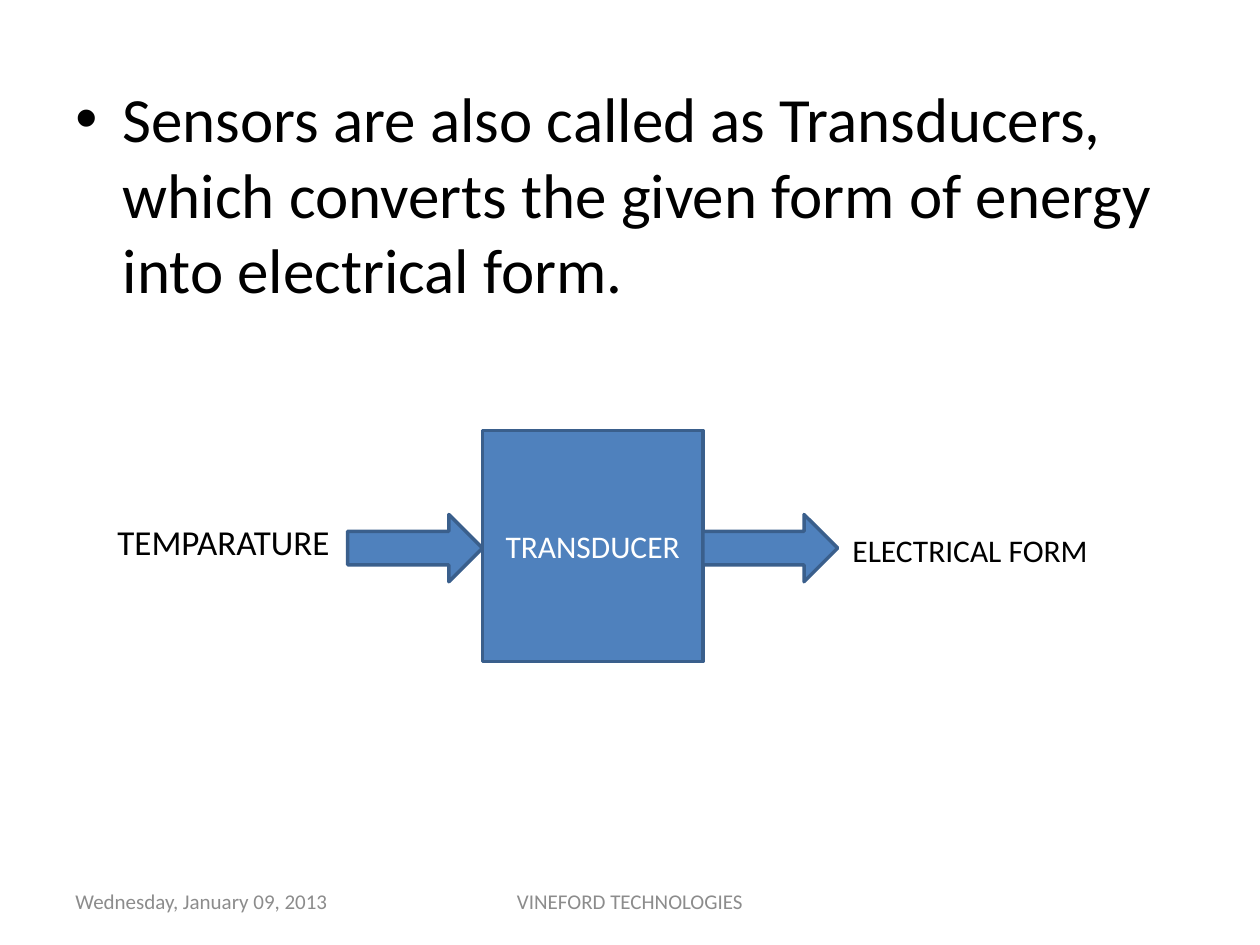
import pptx
import pptx.util
import pptx.dml.color
import pptx.enum.shapes
import pptx.enum.text
import pptx.oxml.ns
import lxml.etree

Pt = pptx.util.Pt
SHAPE = pptx.enum.shapes.MSO_SHAPE
ALIGN = pptx.enum.text.PP_ALIGN
ANCHOR = pptx.enum.text.MSO_ANCHOR

COLORS = {
    "fill": "4F81BD",
    "line": "3A5F8C",
    "text": "000000",
    "inverse": "FFFFFF",
    "footer": "8C8C8C",
}


def rgb(name):
    return pptx.dml.color.RGBColor.from_string(COLORS[name])


def write(sp, text, size, color, align=ALIGN.LEFT, **frame):
    tf = sp.text_frame
    for name, value in {"word_wrap": True, **frame}.items():
        setattr(tf, name, value)
    p = tf.paragraphs[0]
    p.alignment = align
    r = p.add_run()
    r.text = text
    for name, value in {"name": "Calibri", "size": Pt(size)}.items():
        setattr(r.font, name, value)
    r.font.color.rgb = rgb(color)
    return p


def add_text(s, box, text, size, color, **options):
    sp = s.shapes.add_textbox(*map(Pt, box))
    return write(sp, text, size, color, **options)


def add_bullet(p, indent):
    pPr = p._p.get_or_add_pPr()
    pPr.set("marL", str(Pt(indent)))
    pPr.set("indent", str(Pt(-indent)))
    for tag, key, value in (("a:buFont", "typeface", "Arial"), ("a:buChar", "char", "•")):
        lxml.etree.SubElement(pPr, pptx.oxml.ns.qn(tag)).set(key, value)


def add_block(s, kind, box):
    sp = s.shapes.add_shape(kind, *map(Pt, box))
    sp.shadow.inherit = False
    sp.fill.solid()
    sp.fill.fore_color.rgb = rgb("fill")
    sp.line.color.rgb = rgb("line")
    sp.line.width = Pt(2)
    return sp


def main():
    prs = pptx.Presentation()
    prs.slide_width, prs.slide_height = Pt(720), Pt(540)
    s = prs.slides.add_slide(prs.slide_layouts[6])

    p = add_text(
        s, (36, 42, 648, 440.4),
        "Sensors are also called as Transducers, which converts the given "
        "form of energy into electrical form.",
        36, "text",
    )
    p.space_before = Pt(2)
    add_bullet(p, 27)

    left, width, arrow_width = 275.7, 126, 77
    transducer = add_block(s, SHAPE.RECTANGLE, (left, 246, width, 132))
    write(transducer, "TRANSDUCER", 18, "inverse",
          align=ALIGN.CENTER, vertical_anchor=ANCHOR.MIDDLE)
    for x in (left - arrow_width, left + width):
        add_block(s, SHAPE.RIGHT_ARROW, (x, 294, arrow_width, 38.4))

    add_text(s, (60, 294, 138, 31.5), "TEMPARATURE", 20, "text")
    add_text(s, (480, 300, 150.5, 29), "ELECTRICAL FORM", 18, "text", word_wrap=False)

    for x, w, text, align in (
        (36, 168, "Wednesday, January 09, 2013", ALIGN.LEFT),
        (246, 228, "VINEFORD TECHNOLOGIES", ALIGN.CENTER),
    ):
        add_text(s, (x, 500.5, w, 28.75), text, 12, "footer",
                 align=align, vertical_anchor=ANCHOR.MIDDLE)

    prs.save("out.pptx")


if __name__ == "__main__":
    main()
